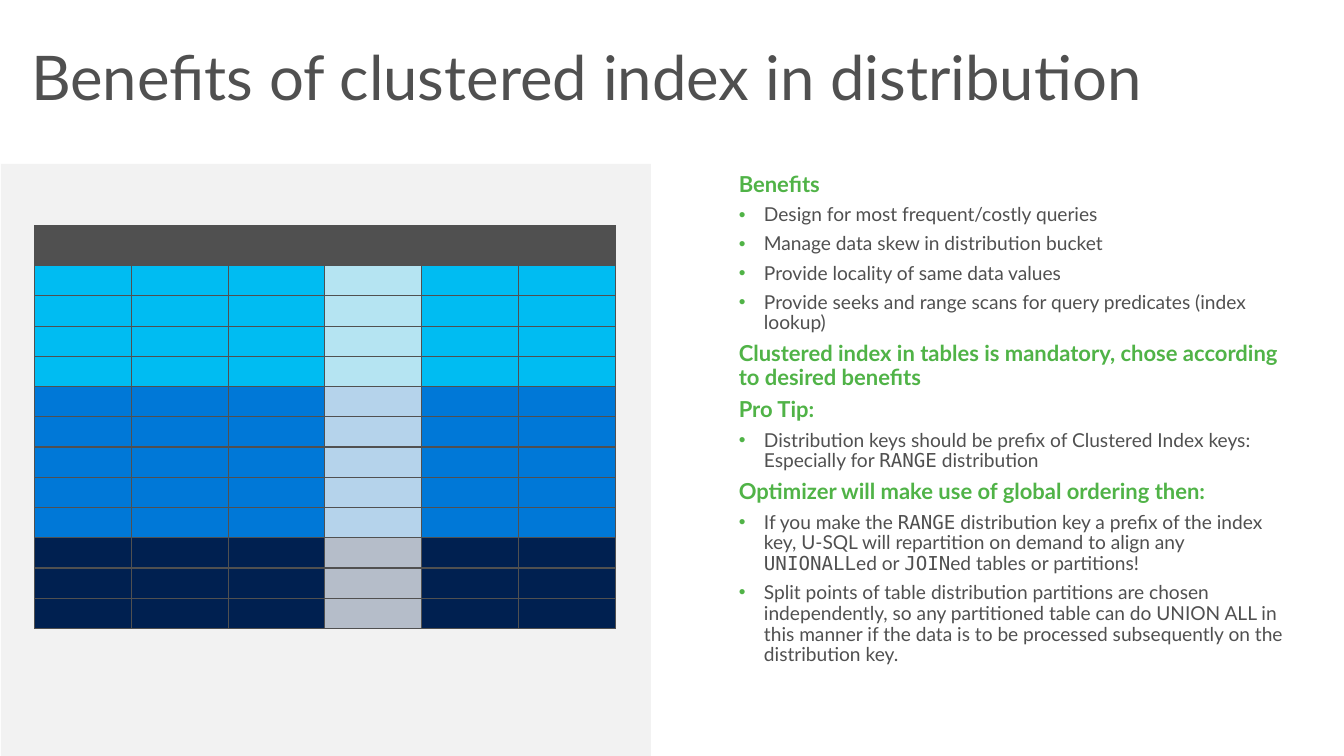
from lxml import etree
from pptx import Presentation
from pptx import util as u
from pptx.dml.color import RGBColor
from pptx.enum import shapes, text
from pptx.oxml.ns import qn

PX = 9525  # EMU per px; the slide is 1280 x 720 px


class Theme:
    ink, green, panel = "505050", "50B347", "F2F2F2"
    font, mono = "Lato", "DejaVu Sans Mono"
    title_size, heading_size, bullet_size, cell_size = 44, 15.7, 13.7, 8


# Fill and number of rows of each distribution bucket
BUCKETS = [("00BCF2", 4), ("0078D7", 5), ("002050", 3)]
COLUMNS, KEY_COLUMN, KEY_ALPHA = 6, 3, 25

# Headings with their bullets; backticks mark code words
SECTIONS = [
    ("Benefits", [
        "Design for most frequent/costly queries",
        "Manage data skew in distribution bucket",
        "Provide locality of same data values",
        "Provide seeks and range scans for query predicates (index lookup)"]),
    ("Clustered index in tables is mandatory, chose according to desired benefits", []),
    ("Pro Tip:", [
        "Distribution keys should be prefix of Clustered Index keys: "
        "Especially for `RANGE` distribution"]),
    ("Optimizer will make use of global ordering then:", [
        "If you make the `RANGE` distribution key a prefix of the index key, U-SQL will "
        "repartition on demand to align any `UNIONALL`ed or `JOIN`ed tables or partitions!",
        "Split points of table distribution partitions are chosen independently, so any "
        "partitioned table can do UNION ALL in this manner if the data is to be processed "
        "subsequently on the distribution key."]),
]


def px(*lengths):
    return [round(n * PX) for n in lengths]


def apply(obj, **values):
    for name, value in values.items():
        setattr(obj, name, value)


def place(sp, box):
    apply(sp, **dict(zip(("left", "top", "width", "height"), px(*box))))


def add_xml(parent, tag, **attrs):
    return etree.SubElement(parent, qn(tag), attrs)


def paint(fill, color):
    fill.solid()
    fill.fore_color.rgb = RGBColor.from_string(color)


def add_run(p, words, size, color, name=Theme.font, bold=False):
    r = p.add_run()
    r.text = words
    apply(r.font, size=u.Pt(size), name=name, bold=bold)
    r.font.color.rgb = RGBColor.from_string(color)


def add_panel(slide, box):
    sp = slide.shapes.add_shape(shapes.MSO_SHAPE.RECTANGLE, *px(*box))
    sp.shadow.inherit = False
    paint(sp.fill, Theme.panel)
    sp.line.fill.background()


def add_title(slide, box, words):
    sp = slide.shapes.title
    place(sp, box)
    tf = sp.text_frame
    apply(tf, word_wrap=True, auto_size=text.MSO_AUTO_SIZE.NONE,
          vertical_anchor=text.MSO_ANCHOR.MIDDLE)
    p = tf.paragraphs[0]
    apply(p, alignment=text.PP_ALIGN.LEFT, line_spacing=0.9)
    add_run(p, words, Theme.title_size, Theme.ink)


def format_paragraph(p, bulleted):
    pPr = p._p.get_or_add_pPr()
    indent = px(24)[0] if bulleted else 0
    pPr.set("marL", str(indent))
    pPr.set("indent", str(-indent))
    if bulleted:
        add_xml(add_xml(pPr, "a:buClr"), "a:srgbClr", val=Theme.green)
        add_xml(pPr, "a:buFont", typeface="Arial")
        add_xml(pPr, "a:buChar", char="•")
    else:
        add_xml(pPr, "a:buNone")
    apply(p, line_spacing=0.9, space_before=u.Pt(0), space_after=u.Pt(6))


def add_body(slide, box, sections):
    sp = slide.placeholders[1]
    place(sp, box)
    tf = sp.text_frame
    apply(tf, word_wrap=True, auto_size=text.MSO_AUTO_SIZE.NONE,
          vertical_anchor=text.MSO_ANCHOR.TOP)
    lines = [(line, line is not heading) for heading, bullets in sections
             for line in [heading, *bullets]]
    for i, (line, bulleted) in enumerate(lines):
        p = tf.add_paragraph() if i else tf.paragraphs[0]
        format_paragraph(p, bulleted)
        if not bulleted:
            add_run(p, line, Theme.heading_size, Theme.green, bold=True)
            continue
        for n, part in enumerate(line.split("`")):
            add_run(p, part, Theme.bullet_size, Theme.ink, Theme.mono if n % 2 else Theme.font)


def format_cell(cell, color, alpha=None):
    apply(cell, margin_top=0, margin_bottom=0)
    add_xml(cell.text_frame.paragraphs[0]._p, "a:endParaRPr", sz=str(Theme.cell_size * 100))
    tcPr = cell._tc.get_or_add_tcPr()
    for side in "LRTB":
        ln = add_xml(tcPr, f"a:ln{side}", w=str(u.Pt(1)))
        add_xml(add_xml(ln, "a:solidFill"), "a:srgbClr", val=Theme.ink)
    paint(cell.fill, color)
    if alpha:
        clr = tcPr.find(qn("a:solidFill")).find(qn("a:srgbClr"))
        add_xml(clr, "a:alpha", val=str(alpha * 1000))


def add_bucket_table(slide, box, header_height):
    colors = [Theme.ink] + [color for color, count in BUCKETS for _ in range(count)]
    table = slide.shapes.add_table(len(colors), COLUMNS, *px(*box)).table
    row_height = (box[3] - header_height) / (len(colors) - 1)
    for column in table.columns:
        column.width = px(box[2] / COLUMNS)[0]
    for y, color in enumerate(colors):
        table.rows[y].height = px(row_height if y else header_height)[0]
        for x in range(COLUMNS):
            format_cell(table.cell(y, x), color, KEY_ALPHA if y and x == KEY_COLUMN else None)


def main():
    prs = Presentation()
    prs.slide_width, prs.slide_height = px(1280, 720)
    slide = prs.slides.add_slide(prs.slide_layouts[1])
    add_panel(slide, (1, 156, 619, 564))
    add_title(slide, (20, 32, 1240, 90), "Benefits of clustered index in distribution")
    add_body(slide, (694, 160, 540, 520), SECTIONS)
    add_bucket_table(slide, (33, 215, 553, 384), header_height=38)
    prs.save("out.pptx")


if __name__ == "__main__":
    main()
